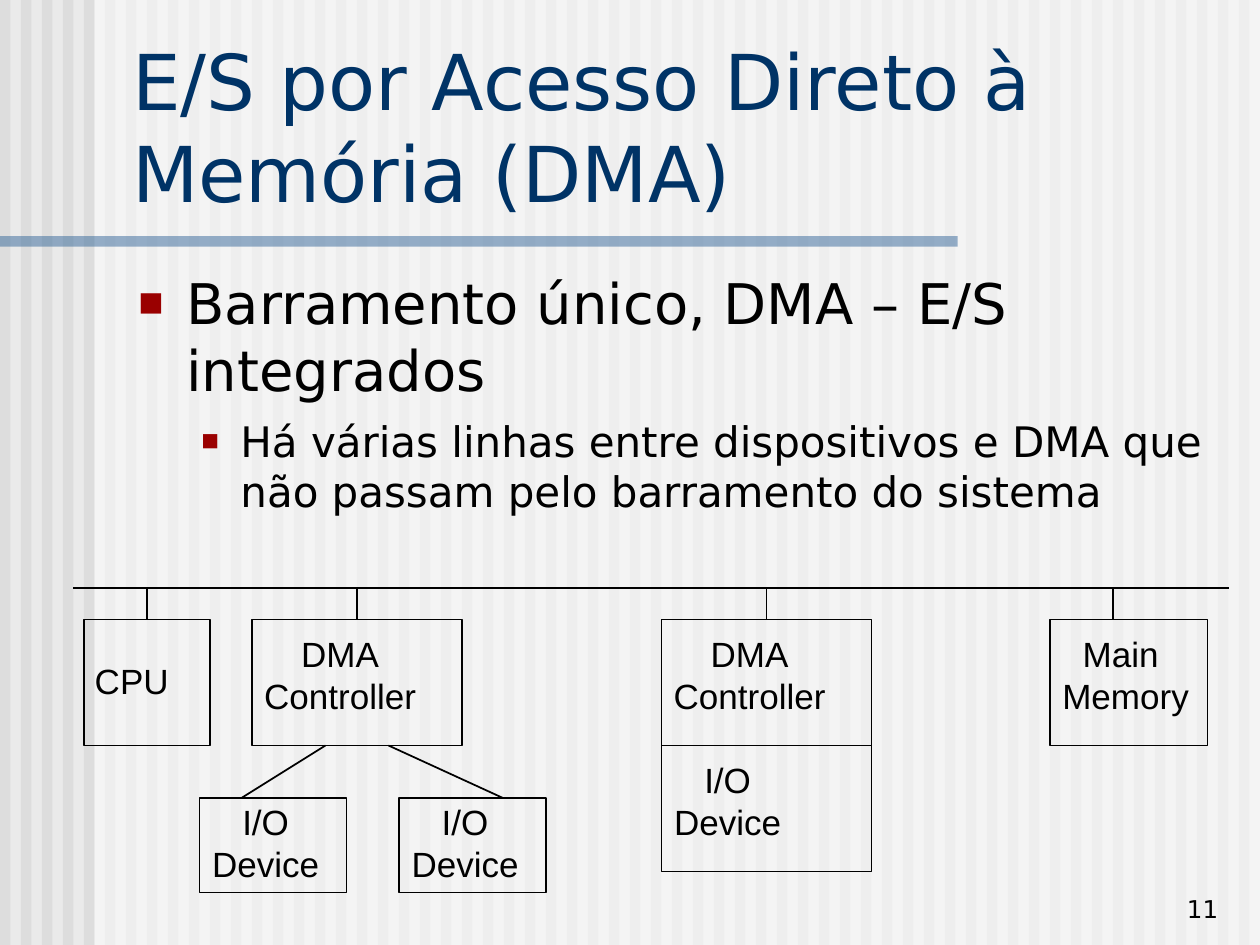
from lxml import etree
from pptx import Presentation
from pptx import util as u
from pptx.dml.color import RGBColor
from pptx.enum import shapes, text
from pptx.oxml import ns

COLORS = {"paper": "EAEAEA", "stripe": "DDDDDD", "veil": "FFFFFF", "rule": "336699",
          "title": "003366", "ink": "000000", "bullet": "9A0000"}
HEADING_FONT, LABEL_FONT = "DejaVu Sans", "Arial"
CELL = u.Inches(1) / 12  # the slide is a grid of 120 columns and 90 rows
COLUMNS, ROWS = 120, 90

deck = Presentation()
deck.slide_width, deck.slide_height = u.Inches(10), u.Inches(7.5)
page = deck.slides.add_slide(deck.slide_layouts[6])
page.background.fill.solid()
page.background.fill.fore_color.rgb = RGBColor.from_string(COLORS["paper"])


def add_box(column, row, width, height, fill=None, alpha=None):
    """Draw a filled rectangle without outline, or an outlined one without fill."""
    box = page.shapes.add_shape(shapes.MSO_SHAPE.RECTANGLE,
                                *(round(n * CELL) for n in (column, row, width, height)))
    box.shadow.inherit = False
    if fill:
        box.fill.solid()
        box.fill.fore_color.rgb = RGBColor.from_string(COLORS[fill])
        box.line.fill.background()
    else:
        box.fill.background()
        box.line.color.rgb = RGBColor.from_string(COLORS["ink"])
        box.line.width = u.Pt(1)
    if alpha:
        color = box.fill._xPr.find(".//" + ns.qn("a:srgbClr"))
        etree.SubElement(color, ns.qn("a:alpha"), val=str(alpha * 1000))


def add_text(column, row, width, height, lines, size, font, color="ink",
             align=text.PP_ALIGN.LEFT, anchor=text.MSO_ANCHOR.TOP, wrap=True):
    """Write one paragraph per line and return the paragraphs."""
    box = page.shapes.add_textbox(*(round(n * CELL) for n in (column, row, width, height)))
    frame = box.text_frame
    frame.word_wrap, frame.vertical_anchor = wrap, anchor
    if not wrap:  # labels keep each line whole, with room to spare at the sides
        frame.auto_size = text.MSO_AUTO_SIZE.SHAPE_TO_FIT_TEXT
        frame.margin_left = frame.margin_right = u.Inches(0.05)
    for index, line in enumerate(lines):
        para = frame.add_paragraph() if index else frame.paragraphs[0]
        para.alignment = align
        span = para.add_run()
        span.text = line
        span.font.size, span.font.name = u.Pt(size), font
        span.font.color.rgb = RGBColor.from_string(COLORS[color])
    return frame.paragraphs


# Striped background, veiled to the right of the margin, and the title rule
for column in range(0, COLUMNS, 2):
    add_box(column, 0, 1, ROWS, "stripe")
add_box(9, 0, COLUMNS - 9, ROWS, "veil", 50)
add_box(0, 22.5, 91.2, 1, "rule", 50)

# Slide number and title
add_text(92.2, 82.5, 25, 6, ["11"], 14, HEADING_FONT,
         align=text.PP_ALIGN.RIGHT, anchor=text.MSO_ANCHOR.BOTTOM)
add_text(11.4, 2.5, 107.2, 18.85, ["E/S por Acesso Direto à Memória (DMA)"], 44,
         HEADING_FONT, "title", anchor=text.MSO_ANCHOR.BOTTOM)

# Bulleted body: size, space before, indent, hanging indent, bullet percentage
levels = [(32, 8, 0.38, 0.38, 75), (24, 6.9, 0.81, 0.31, 70)]
body = add_text(12, 25, 106.4, 55, [
    "Barramento único, DMA – E/S integrados",
    "Há várias linhas entre dispositivos e DMA que não passam pelo barramento do sistema",
], 32, HEADING_FONT)
for level, (para, style) in enumerate(zip(body, levels)):
    size, before, indent, hanging, percent = style
    para.level, para.space_before = level, u.Pt(before)
    para.runs[0].font.size = u.Pt(size)
    props = para._p.get_or_add_pPr()
    props.set("marL", str(u.Inches(indent)))
    props.set("indent", str(-u.Inches(hanging)))
    bullet_color = etree.SubElement(props, ns.qn("a:buClr"))
    etree.SubElement(bullet_color, ns.qn("a:srgbClr"), val=COLORS["bullet"])
    etree.SubElement(props, ns.qn("a:buSzPct"), val=str(percent * 1000))
    etree.SubElement(props, ns.qn("a:buFont"), typeface=LABEL_FONT)
    etree.SubElement(props, ns.qn("a:buChar"), char="■")

# Bus diagram: box column, row, width, height; label column, row, width, lines
BUS, UNIT, DEVICE = 56, 59, 76
controller, device = ["DMA", "Controller"], ["I/O", "Device"]
blocks = [
    (8, UNIT, 12, 12, 7.8, 62.2, 9.5, ["CPU"]),
    (24, UNIT, 20, 12, 24, 59.6, 16.8, controller),
    (19, DEVICE, 14, 9, 19, 75.6, 12.6, device),
    (38, DEVICE, 14, 9, 38, 75.6, 12.6, device),
    (63, UNIT, 20, 12, 63, 59.6, 16.8, controller),
    (63, UNIT + 12, 20, 12, 63, 71.6, 12.6, device),
    (100, UNIT, 15, 12, 100, 59.6, 14.4, ["Main ", "Memory"]),
]
for column, row, width, height, label_column, label_row, label_width, lines in blocks:
    add_box(column, row, width, height)
    add_text(label_column, label_row, label_width, 1.3 + 4 * len(lines), lines, 20,
             LABEL_FONT, align=text.PP_ALIGN.CENTER, wrap=False)

# The bus, its taps, and the links from the controller to its devices
wires = [(7, BUS, 117, BUS)]
wires += [(column, UNIT, column, BUS) for column in (14, 34, 73, 106)]
wires += [(23, DEVICE, 31, UNIT + 12), (47.9, DEVICE, 37, UNIT + 12)]
for ends in wires:
    wire = page.shapes.add_connector(shapes.MSO_CONNECTOR.STRAIGHT,
                                     *(round(n * CELL) for n in ends))
    wire.line.color.rgb = RGBColor.from_string(COLORS["ink"])
    wire.line.width = u.Pt(1)
    etree.SubElement(wire._element.spPr, ns.qn("a:effectLst"))

deck.save("out.pptx")
